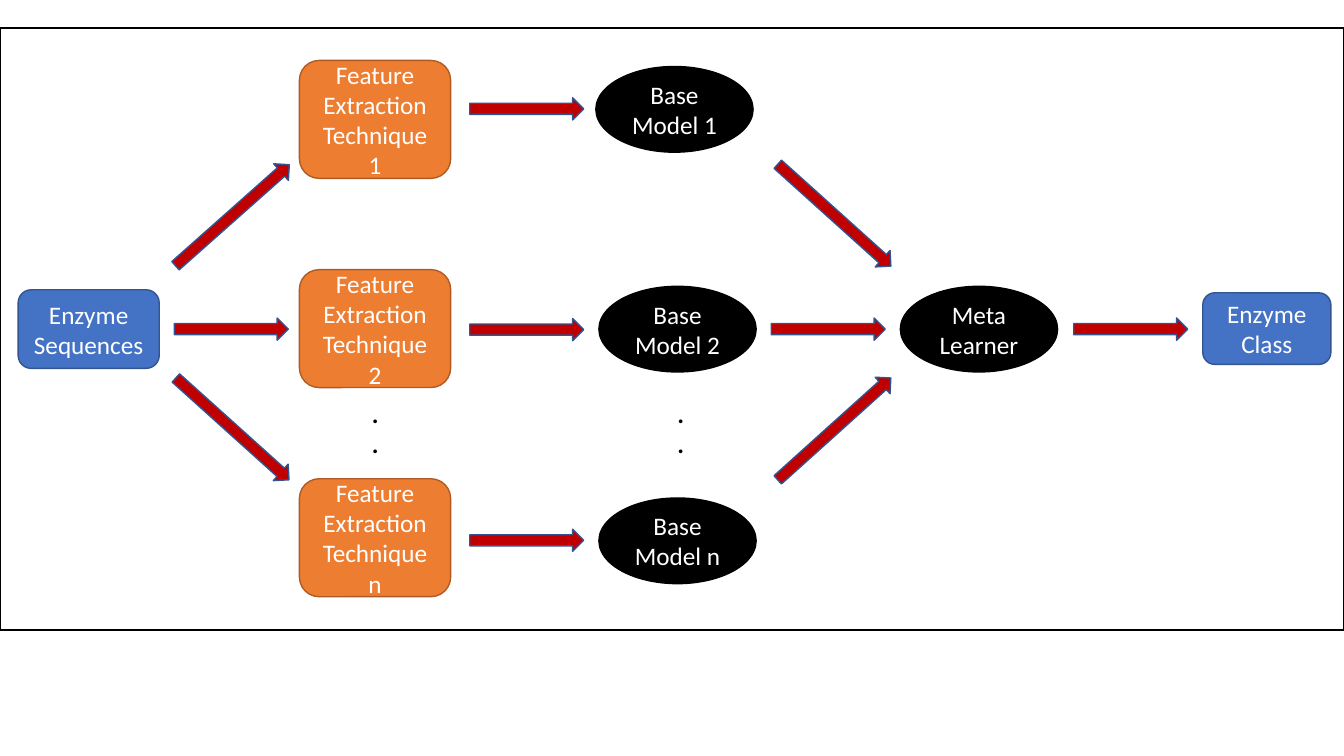
from dataclasses import dataclass
from pptx import Presentation
from pptx.dml.color import RGBColor as Color
from pptx.enum.shapes import MSO_SHAPE as Shape
from pptx.enum.text import MSO_ANCHOR as Anchor, PP_ALIGN as Align
from pptx.util import Inches, Pt


@dataclass(frozen=True)
class Theme:
    """Colours and type of the slide."""
    white: str = "FFFFFF"
    black: str = "000000"
    blue: str = "4472C4"
    navy: str = "325491"
    orange: str = "ED7D31"
    rust: str = "AF5C24"
    red: str = "C00000"
    font: str = "Calibri"
    size: int = 18
    line: int = 1


THEME = Theme()
OVAL = (1.56, 0.85)
ARROW = (1.13, 0.22)
SLANT = (1.51, 0.22)


def write(para, text, color, bold=False):
    """Add one styled run to a paragraph."""
    run = para.add_run()
    run.text = text
    run.font.name = THEME.font
    run.font.size = Pt(THEME.size)
    run.font.bold = bold
    run.font.color.rgb = Color.from_string(color)


def node(slide, kind, box, fill, line, text=""):
    """Draw a filled shape with an optional centred label."""
    shape = slide.shapes.add_shape(kind, *map(Inches, box))
    shape.shadow.inherit = False
    shape.fill.solid()
    shape.fill.fore_color.rgb = Color.from_string(fill)
    shape.line.color.rgb = Color.from_string(line)
    shape.line.width = Pt(THEME.line)
    if text:
        frame = shape.text_frame
        frame.word_wrap = True
        frame.vertical_anchor = Anchor.MIDDLE
        para = frame.paragraphs[0]
        para.alignment = Align.CENTER
        write(para, text, THEME.white)
    return shape


def arrow(slide, left, top, size=ARROW, angle=0):
    """Draw a red block arrow turned by an angle."""
    shape = node(slide, Shape.RIGHT_ARROW, (left, top, *size), THEME.red, THEME.navy)
    shape.rotation = angle


def oval(slide, left, top, text):
    """Draw a black model ellipse."""
    node(slide, Shape.OVAL, (left, top, *OVAL), THEME.black, THEME.black, text)


def dots(slide, left, top):
    """Write two stacked bold dots."""
    frame = slide.shapes.add_textbox(*map(Inches, (left, top, 0.27, 0.71))).text_frame
    frame.word_wrap = True
    for para in (frame.paragraphs[0], frame.add_paragraph()):
        write(para, ".", THEME.black, True)


def source(slide, box):
    """Place the enzyme sequences and the arrows that fan out."""
    left, top, wide, high = box
    mid = top + high / 2
    node(slide, Shape.ROUNDED_RECTANGLE, (left, mid - 0.39, 1.4, 0.78),
         THEME.blue, THEME.navy, "Enzyme Sequences")
    arrow(slide, left + 1.55, mid - 0.11)
    for shift, angle in ((-1.24, 318.4), (0.88, 42)):
        arrow(slide, left + wide - SLANT[0], mid + shift, SLANT, angle)


def extract(slide, box, names):
    """Place the technique boxes at even steps with their arrows."""
    left, top, wide, high = box
    tall = 1.17
    step = (high - tall) / (len(names) - 1)
    for row, name in enumerate(names):
        node(slide, Shape.ROUNDED_RECTANGLE, (left, top + row * step, 1.5, tall),
             THEME.orange, THEME.rust, f"Feature Extraction Technique {name}")
        arrow(slide, left + wide - ARROW[0], top + 0.37 + row * 2.14
              if row != 1 else top + 2.56)
    dots(slide, left + 0.62, top + 3.3)


def models(slide, box, names):
    """Place the base models and the arrows that join again."""
    left, top, wide, high = box
    mid = top + high / 2
    spots = ((0, 0), (0.03, 2.18), (0.03, high - OVAL[1]))
    for name, (x, y) in zip(names, spots):
        oval(slide, left + x, top + y, f"Base Model {name}")
    dots(slide, left + 0.71, top + 3.24)
    arrow(slide, left + 1.74, mid - 0.07)
    for shift, angle in ((-1.2, 42), (0.92, 318)):
        arrow(slide, left + wide - SLANT[0], mid + shift, SLANT, angle)


def result(slide, box):
    """Place the meta learner, its arrow and the enzyme class."""
    left, top, wide, high = box
    mid = top + high / 2
    oval(slide, left, top, "Meta Learner")
    arrow(slide, left + 1.72, mid - 0.11)
    node(slide, Shape.ROUNDED_RECTANGLE, (left + wide - 1.27, mid - 0.36, 1.27, 0.71),
         THEME.blue, THEME.navy, "Enzyme Class")


def diagram(slide, box):
    """Frame the ensemble and set out its four regions."""
    left, top, wide, high = box
    names = ("1", "2", "n")
    node(slide, Shape.RECTANGLE, box, THEME.white, THEME.black)
    source(slide, (left + 0.18, top, 2.88, high))
    extract(slide, (left + 2.97, top + 0.32, 2.82, 5.32), names)
    models(slide, (left + 5.91, top + 0.38, 3.12, 5.13), names)
    result(slide, (left + 8.93, top + 2.56, 4.27, OVAL[1]))


def main():
    """Build and save the slide."""
    deck = Presentation()
    deck.slide_width = Inches(13.33)
    deck.slide_height = Inches(7.5)
    slide = deck.slides.add_slide(deck.slide_layouts[6])
    diagram(slide, (0, 0.28, 13.33, 5.97))
    deck.save("out.pptx")


main()
